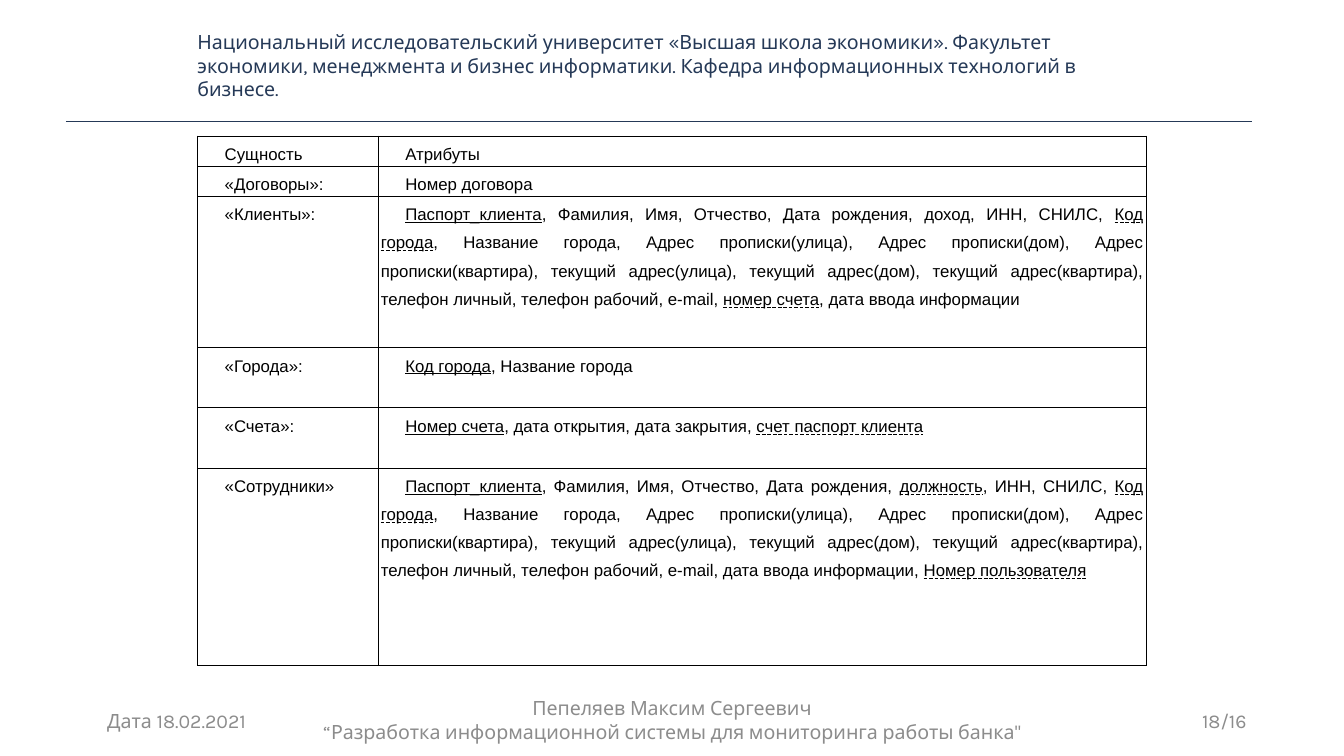
from dataclasses import dataclass

from lxml.etree import SubElement
from pptx import Presentation
from pptx.dml.color import RGBColor
from pptx.enum.shapes import MSO_CONNECTOR
from pptx.enum.text import MSO_ANCHOR, MSO_UNDERLINE, PP_ALIGN
from pptx.oxml import parse_xml
from pptx.oxml.ns import nsdecls, qn
from pptx.util import Pt

PX = 12700  # 1920 x 1080 px make 26.67 x 15 inches


@dataclass(frozen=True)
class Theme:
    navy: str = "253957"
    grey: str = "8C8C8C"
    black: str = "000000"
    frame_font: str = "Karla"
    table_font: str = "Arial"
    frame_size: int = 28
    table_size: int = 24


THEME = Theme()
KEY = MSO_UNDERLINE.SINGLE_LINE
FOREIGN = MSO_UNDERLINE.DASH_LINE

HEADER = ("Национальный исследовательский университет «Высшая школа экономики». "
          "Факультет экономики, менеджмента и бизнес информатики. "
          "Кафедра информационных технологий в бизнесе.")
CONTACTS = (", Название города, Адрес прописки(улица), Адрес прописки(дом), "
            "Адрес прописки(квартира), текущий адрес(улица), текущий адрес(дом), "
            "текущий адрес(квартира), телефон личный, телефон рабочий, e-mail, ")

# Row height, entity, then attribute runs with their underline
ENTITIES = [
    (43, "Сущность", [("Атрибуты", None)]),
    (43, "«Договоры»:", [("Номер договора", None)]),
    (216, "«Клиенты»:", [
        ("Паспорт_клиента", KEY),
        (", Фамилия, Имя, Отчество, Дата рождения, доход, ИНН, СНИЛС, ", None),
        ("Код города", FOREIGN), (CONTACTS, None),
        ("номер счета", FOREIGN), (", дата ввода информации", None)]),
    (86, "«Города»:", [("Код города", KEY), (", Название города", None)]),
    (86, "«Счета»:", [
        ("Номер счета", KEY), (", дата открытия, дата закрытия, ", None),
        ("счет паспорт клиента", FOREIGN)]),
    (282, "«Сотрудники»", [
        ("Паспорт_клиента", KEY),
        (", Фамилия, Имя, Отчество, Дата рождения, ", None),
        ("должность", FOREIGN), (", ИНН, СНИЛС, ", None),
        ("Код города", FOREIGN), (CONTACTS + "дата ввода информации, ", None),
        ("Номер пользователя", FOREIGN)]),
]


def set_font(paragraph, name, size, color):
    paragraph.font.name = name
    paragraph.font.size = Pt(size)
    paragraph.font.color.rgb = RGBColor.from_string(color)


def add_frame_text(slide, box, lines, color, alignment=PP_ALIGN.LEFT, wrap=True):
    shape = slide.shapes.add_textbox(*(value * PX for value in box))
    frame = shape.text_frame
    frame.word_wrap = wrap
    frame.vertical_anchor = MSO_ANCHOR.MIDDLE
    frame.text = "\n".join(lines)
    for paragraph in frame.paragraphs:
        paragraph.alignment = alignment
        set_font(paragraph, THEME.frame_font, THEME.frame_size, color)
    return frame


def add_header(slide, left, top, width, height):
    """Place the rule across the box and the university name inset above it."""
    frame = add_frame_text(slide, (left + 182, top, 1327, 79), [HEADER], THEME.navy)
    frame.margin_left = frame.margin_right = 6 * PX
    frame.margin_top = frame.margin_bottom = 6 * PX
    bottom = (top + height) * PX
    rule = slide.shapes.add_connector(MSO_CONNECTOR.STRAIGHT, left * PX, bottom,
                                      (left + width) * PX, bottom)
    rule.line.color.rgb = RGBColor.from_string(THEME.navy)
    rule.line.width = Pt(1)
    SubElement(rule._element.spPr, qn("a:effectLst"))


def add_footer(slide, left, top, width, height):
    add_frame_text(slide, (left, top, 432, height), ["Дата 18.02.2021"], THEME.grey)
    add_frame_text(slide, (left + 277, top - 2, 1074, height), [
        "Пепеляев Максим Сергеевич",
        "“Разработка информационной системы для мониторинга работы банка\"",
    ], THEME.grey, PP_ALIGN.CENTER)
    add_frame_text(slide, (left + width - 83, top + 8, 83, 41), ["18/16"],
                   THEME.grey, PP_ALIGN.RIGHT, wrap=False)


def outline_cell(cell):
    properties = cell._tc.get_or_add_tcPr()
    for position, side in enumerate("LRTB"):
        properties.insert(position, parse_xml(
            f'<a:ln{side} {nsdecls("a")} w="{PX}"><a:solidFill>'
            f'<a:srgbClr val="{THEME.black}"/></a:solidFill></a:ln{side}>'))


def fill_cell(cell, runs):
    cell.fill.background()
    outline_cell(cell)
    cell.margin_left = cell.margin_right = 4 * PX
    cell.margin_top = cell.margin_bottom = 0
    paragraph = cell.text_frame.paragraphs[0]
    paragraph.alignment = PP_ALIGN.JUSTIFY
    paragraph.line_spacing = 1.5
    paragraph._p.get_or_add_pPr().set("indent", str(35 * PX))
    set_font(paragraph, THEME.table_font, THEME.table_size, THEME.black)
    for text, underline in runs:
        run = paragraph.add_run()
        run.text = text
        run.font.underline = underline


def add_entity_table(slide, left, top, width, entity_width):
    height = sum(row[0] for row in ENTITIES)
    table = slide.shapes.add_table(len(ENTITIES), 2, left * PX, top * PX,
                                   width * PX, height * PX).table
    table.first_row = table.horz_banding = False
    table.columns[0].width = entity_width * PX
    table.columns[1].width = (width - entity_width) * PX
    for index, (row_height, entity, attributes) in enumerate(ENTITIES):
        table.rows[index].height = row_height * PX
        fill_cell(table.cell(index, 0), [(entity, None)])
        fill_cell(table.cell(index, 1), attributes)


def main():
    presentation = Presentation()
    presentation.slide_width = 1920 * PX
    presentation.slide_height = 1080 * PX
    slide = presentation.slides.add_slide(presentation.slide_layouts[6])
    add_header(slide, 94, 54, 1694, 120)
    add_entity_table(slide, 282, 194, 1355, 258)
    add_footer(slide, 146, 1001, 1642, 58)
    presentation.save("out.pptx")


if __name__ == "__main__":
    main()
